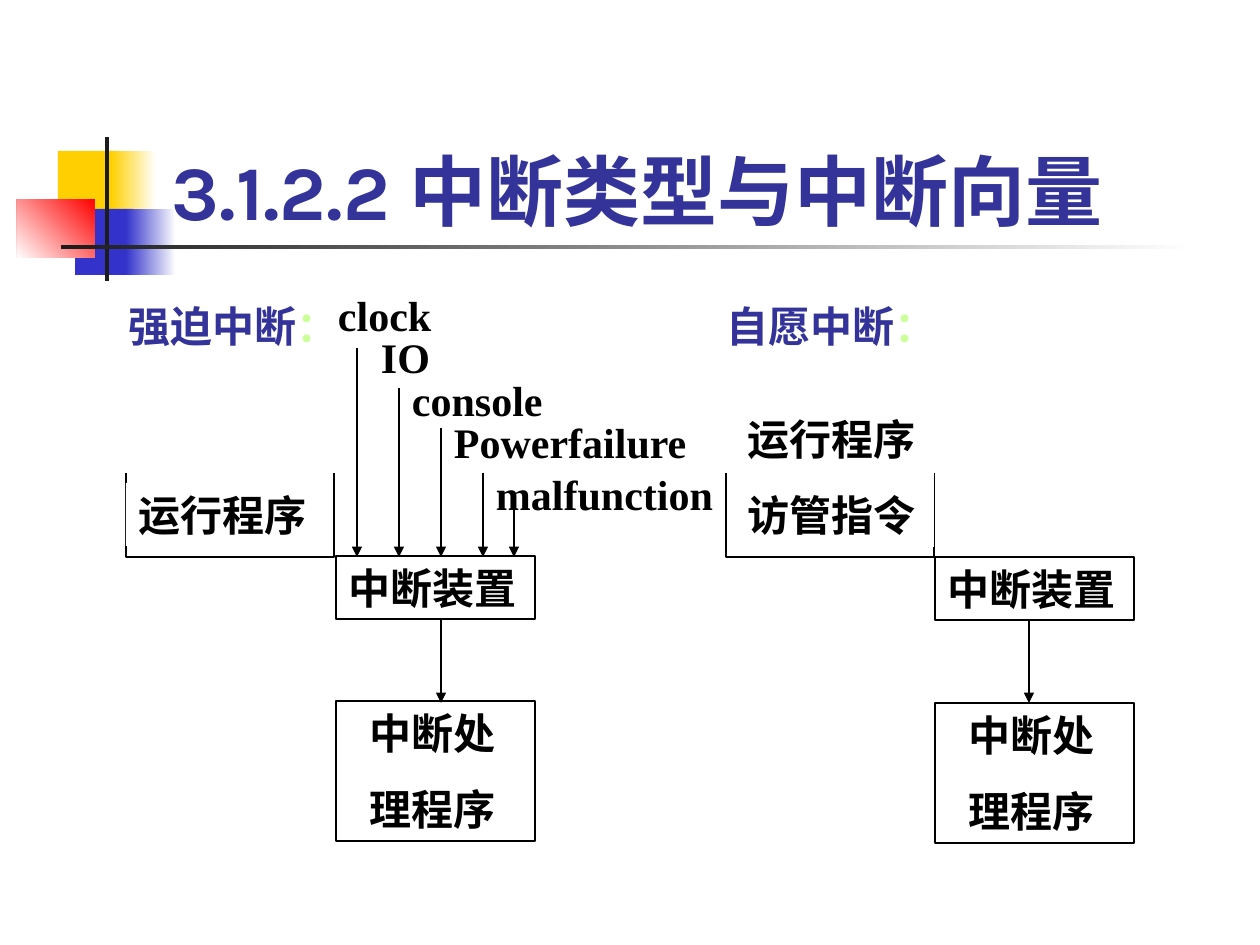
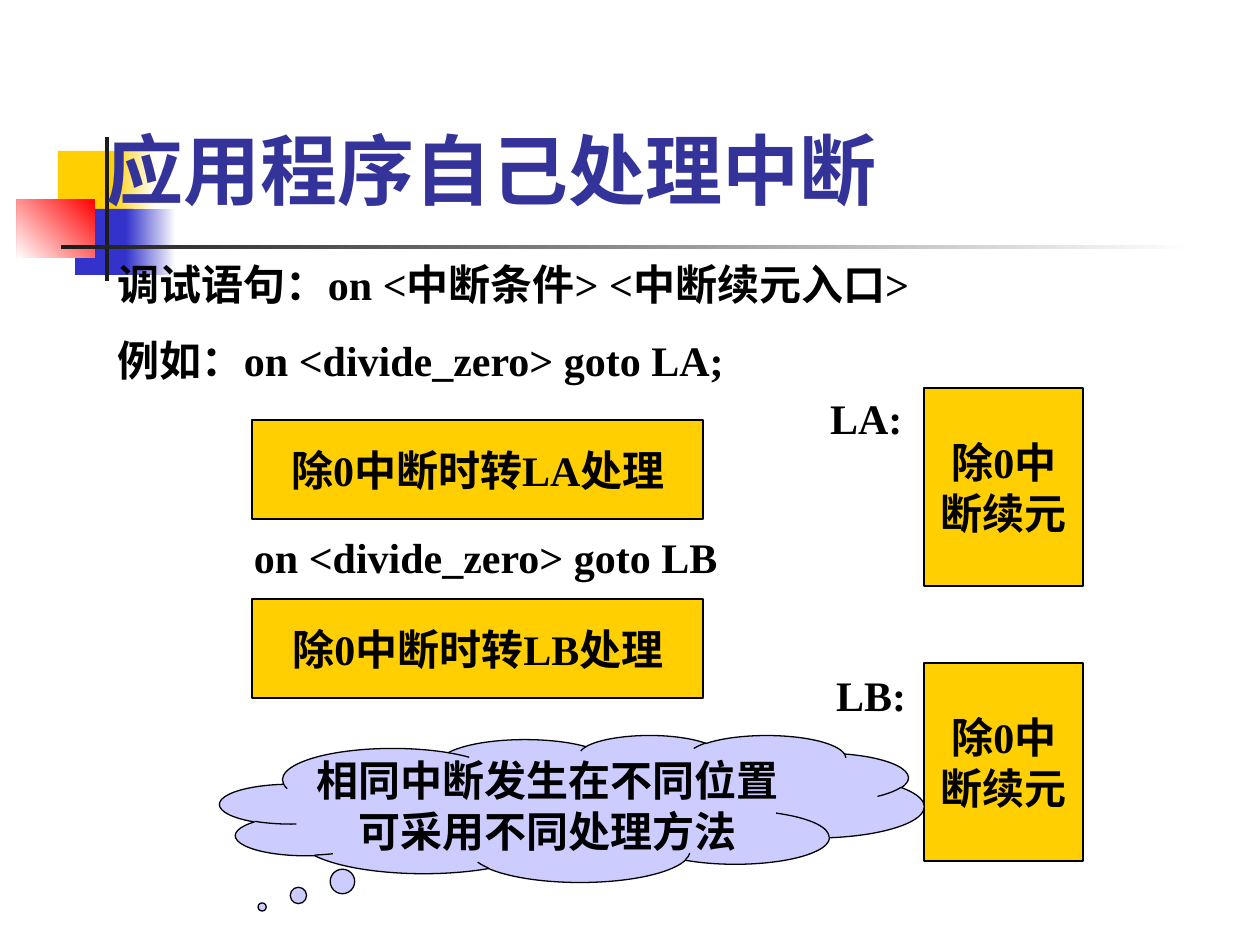
"""Build two slides on interrupt types and on interrupts handled by applications."""
import pptx
import pptx.dml.color
import pptx.enum.shapes
import pptx.enum.text
import pptx.oxml.ns
import pptx.oxml.xmlchemy
import pptx.util
from lxml import etree

PX = 914400 / 126
COLOURS = {
    "white": "FFFFFF", "black": "000000", "ink": "1C1C1C", "title": "333399",
    "yellow": "FFCF01", "blue": "3333CC", "red": "FF0000",
    "lime": "CCFF99", "lavender": "CCCCFF",
}
TITLE_FONT = "Karla"
BODY_FONT = "Times New Roman"
SHAPES = pptx.enum.shapes.MSO_SHAPE
ALIGN = pptx.enum.text.PP_ALIGN
ANCHOR = pptx.enum.text.MSO_ANCHOR


def px(value):
    """Turn pixels into EMU."""
    return pptx.util.Emu(round(value * PX))


def rgb(name):
    """Look up a named colour."""
    return pptx.dml.color.RGBColor.from_string(COLOURS[name])


def add_run(paragraph, text, colour="black", size=24, font=BODY_FONT):
    """Add one bold run to a paragraph."""
    run = paragraph.add_run()
    run.text = text
    run.font.name = font
    run.font.size = pptx.util.Pt(size)
    run.font.bold = True
    run.font.color.rgb = rgb(colour)


def write_lines(shape, lines, centred=False, space=15, indent=0):
    """Write lines, each a list of (text, colour) runs, into a shape."""
    frame = shape.text_frame
    frame.word_wrap = not centred
    frame.vertical_anchor = ANCHOR.MIDDLE if centred else ANCHOR.TOP
    frame.margin_left = px(13 + indent)
    for number, runs in enumerate(lines):
        paragraph = frame.add_paragraph() if number else frame.paragraphs[0]
        paragraph.alignment = ALIGN.CENTER if centred else ALIGN.LEFT
        if number and not centred:
            paragraph.space_before = pptx.util.Pt(space)
        for text, colour in runs:
            add_run(paragraph, text, colour)


def plain(*texts):
    """Make black single-run lines."""
    return [[(text, "black")] for text in texts]


def set_outline(shape, outlined):
    """Give a shape a thin black outline or none."""
    shape.shadow.inherit = False
    if outlined:
        shape.line.color.rgb = rgb("black")
        shape.line.width = pptx.util.Pt(0.75)
    else:
        shape.line.fill.background()


def add_box(slide, place, lines=(), fill="white", outlined=True, kind=SHAPES.RECTANGLE,
            centred=False, indent=0):
    """Add a filled preset shape with text."""
    shape = slide.shapes.add_shape(kind, *map(px, place))
    shape.fill.solid()
    shape.fill.fore_color.rgb = rgb(fill)
    set_outline(shape, outlined)
    write_lines(shape, lines, centred, indent=indent)
    return shape


def add_label(slide, place, lines):
    """Add a text box."""
    write_lines(slide.shapes.add_textbox(*map(px, place)), lines)


def add_arrow(slide, x, top, bottom):
    """Add a downward arrow."""
    arrow = slide.shapes.add_connector(
        pptx.enum.shapes.MSO_CONNECTOR.STRAIGHT, px(x), px(top), px(x), px(bottom))
    arrow.line.color.rgb = rgb("black")
    arrow.line.width = pptx.util.Pt(0.75)
    qn = pptx.oxml.ns.qn
    properties = arrow.element.spPr
    etree.SubElement(properties.find(qn("a:ln")), qn("a:tailEnd"), type="triangle")
    etree.SubElement(properties, qn("a:effectLst"))


def add_tray(slide, left, top, width, height):
    """Add an outline that is open at the top."""
    builder = slide.shapes.build_freeform(px(left), px(top), scale=1.0)
    corners = [(left, top + height), (left + width, top + height), (left + width, top)]
    builder.add_line_segments([(px(x), px(y)) for x, y in corners], close=False)
    tray = builder.convert_to_shape()
    tray.fill.background()
    set_outline(tray, True)


def add_fade(slide, place, colour, angle=0):
    """Add a rectangle that fades from a colour to white."""
    shape = add_box(slide, place, outlined=False)
    shape.fill.gradient()
    shape.fill.gradient_angle = angle
    for stop, name in zip(shape.fill.gradient_stops, (colour, "white")):
        stop.color.rgb = rgb(name)
    return shape


def decorate_layout(slide):
    """Draw the title ornament and move it to the slide's layout."""
    ornament = [
        add_box(slide, (58, 151, 60, 66), fill="yellow", outlined=False),
        add_fade(slide, (111, 151, 45, 66), "yellow"),
        add_box(slide, (75, 209, 58, 66), fill="blue", outlined=False),
        add_fade(slide, (126, 209, 50, 66), "blue"),
        add_fade(slide, (17, 199, 78, 59), "red", 225),
        add_box(slide, (105, 137, 4, 144), fill="ink", outlined=False),
        add_fade(slide, (61, 245, 1134, 4), "ink"),
    ]
    for shape in ornament:
        slide.slide_layout.shapes.element.append(shape.element)


def add_title_slide(presentation, text, place):
    """Add a title-only slide with a formatted title."""
    slide = presentation.slides.add_slide(presentation.slide_layouts[5])
    title = slide.shapes.title
    title.left, title.top, title.width, title.height = map(px, place)
    frame = title.text_frame
    frame.auto_size = pptx.enum.text.MSO_AUTO_SIZE.NONE
    frame.vertical_anchor = ANCHOR.BOTTOM
    frame.paragraphs[0].alignment = ALIGN.LEFT
    add_run(frame.paragraphs[0], text, "title", 44, TITLE_FONT)
    return slide


def add_handling(slide, left, top, handler_top, arrow_x):
    """Add the interrupt device, its handler and the arrow between them."""
    add_box(slide, (left, top, 199, 63), plain("中断装置"))
    add_box(slide, (left, handler_top, 199, 140), plain("中断处", "理程序"), indent=21)
    add_arrow(slide, arrow_x, 620, 703)


def fill_types_slide(slide):
    """Draw forced interrupts on the left and voluntary ones on the right."""
    for left in (126, 726):
        add_tray(slide, left, 473, 208, 84)
    add_box(slide, (735, 407, 199, 140), plain("运行程序", "访管指令"), outlined=False)
    add_box(slide, (126, 483, 199, 63), plain("运行程序"), outlined=False)
    add_handling(slide, 935, 557, 703, 1029)
    add_handling(slide, 336, 556, 701, 441)
    for x, top in ((357, 348), (399, 388), (441, 428), (483, 473), (514, 507)):
        add_arrow(slide, x, top, 557)
    sources = [
        ("clock", 325, 283, 126), ("IO", 368, 325, 84), ("console", 399, 368, 179),
        ("Powerfailure", 441, 410, 273), ("malfunction", 483, 462, 252),
    ]
    for text, left, top, width in sources:
        add_label(slide, (left, top, width, 63), plain(text))
    for text, left in (("强迫中断", 116), ("自愿中断", 714)):
        add_label(slide, (left, 294, 199, 63), [[(text, "title"), ("：", "lime")]])


def fill_handling_slide(slide):
    """Show the debugging statements and the routines they jump to."""
    add_label(slide, (105, 252, 1061, 140), plain(
        "调试语句：on <中断条件> <中断续元入口>", "例如：on <divide_zero> goto LA;"))
    add_label(slide, (241, 525, 925, 63), plain("on <divide_zero> goto LB"))
    routines = [("LA", 420, 388, (829, 388)), ("LB", 599, 663, (834, 665))]
    for name, note_top, routine_top, label_place in routines:
        add_box(slide, (252, note_top, 451, 99), plain(f"除0中断时转{name}处理"),
                "yellow", centred=True)
        add_box(slide, (924, routine_top, 159, 198), plain("除0中", "断续元"),
                "yellow", centred=True)
        add_box(slide, (*label_place, 74, 59), plain(f"{name}:"),
                outlined=False, centred=True)
    cloud = add_box(slide, (220, 735, 704, 147),
                    plain("相同中断发生在不同位置", "可采用不同处理方法"),
                    "lavender", kind=SHAPES.CLOUD_CALLOUT, centred=True)
    cloud.adjustments[0] = -0.44
    cloud.adjustments[1] = 0.67


def main():
    """Build and save the presentation."""
    presentation = pptx.Presentation()
    presentation.slide_width = px(1260)
    presentation.slide_height = px(945)
    types_slide = add_title_slide(
        presentation, "3.1.2.2 中断类型与中断向量", (159, 84, 1074, 158))
    decorate_layout(types_slide)
    fill_types_slide(types_slide)
    handling_slide = add_title_slide(
        presentation, "应用程序自己处理中断", (94, 63, 1071, 158))
    fill_handling_slide(handling_slide)
    presentation.save("out.pptx")


if __name__ == "__main__":
    main()
